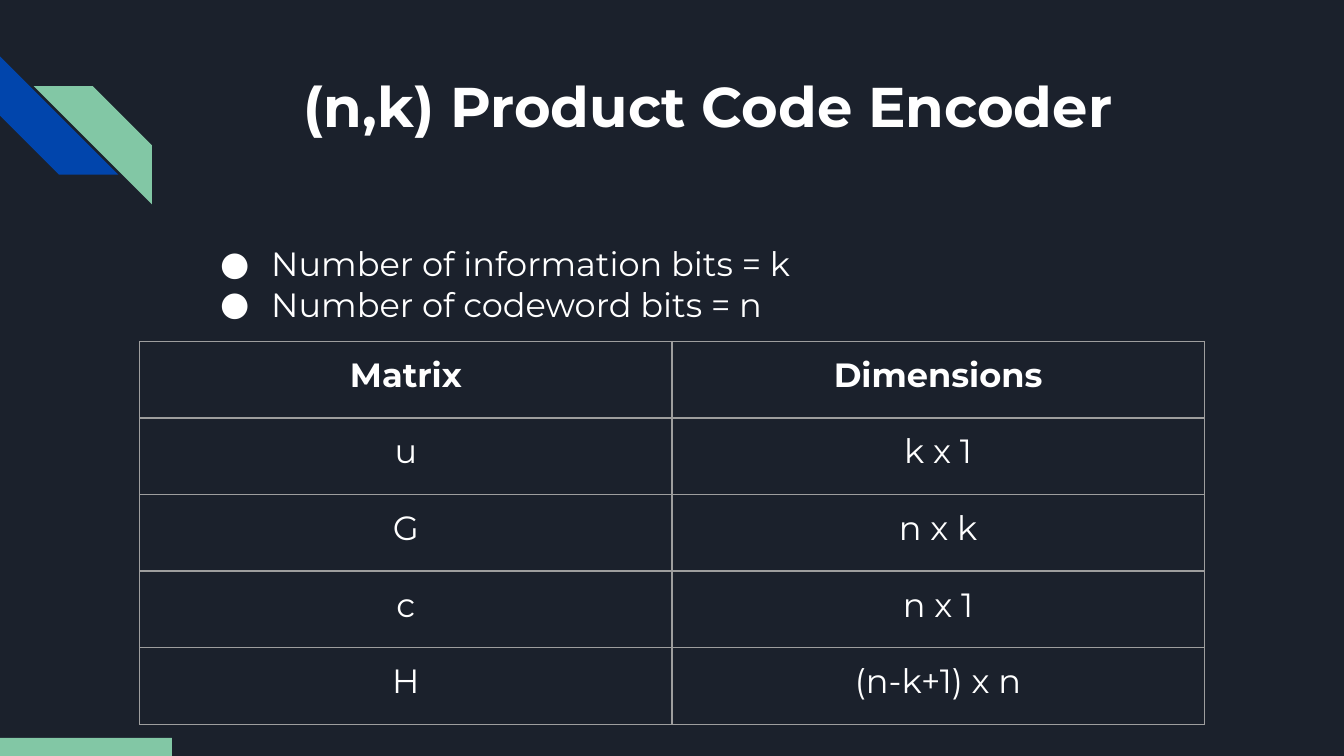
from lxml.etree import SubElement
from pptx import Presentation
from pptx.dml.color import RGBColor
from pptx.enum.shapes import MSO_SHAPE as Shape
from pptx.enum.text import MSO_ANCHOR as Anchor, PP_ALIGN as Align
from pptx.oxml import parse_xml
from pptx.oxml.ns import nsdecls, qn
from pptx.util import Inches, Pt

NAVY = RGBColor(0x1B, 0x21, 0x2C)
BLUE = RGBColor(0x01, 0x45, 0xAC)
GREEN = RGBColor(0x82, 0xC7, 0xA5)
WHITE = RGBColor(0xFF, 0xFF, 0xFF)
GREY = RGBColor(0x9E, 0x9E, 0x9E)
FONT = "Montserrat"

BULLETS = ["Number of information bits = k", "Number of codeword bits = n"]
MATRICES = [
    ("Matrix", "Dimensions"),
    ("u", "k x 1"),
    ("G", "n x k"),
    ("c", "n x 1"),
    ("H", "(n-k+1) x n"),
]


def style_text(para, size, bold=False, align=Align.LEFT):
    para.alignment = align
    font = para.font
    font.name, font.size, font.bold = FONT, Pt(size), bold
    font.color.rgb = WHITE


def set_margins(frame):
    frame.margin_left = frame.margin_right = Inches(0.1)
    frame.margin_top = frame.margin_bottom = Inches(0.1)


def add_block(slide, kind, left, top, width, height, color):
    block = slide.shapes.add_shape(
        kind, Inches(left), Inches(top), Inches(width), Inches(height))
    block.shadow.inherit = False
    block.fill.solid()
    block.fill.fore_color.rgb = color
    block.line.fill.background()
    return block


def add_stripes(slide):
    blue = add_block(slide, Shape.DIAGONAL_STRIPE, 0, 0.42, 0.88, 0.88, BLUE)
    blue.rotation = 270
    green = add_block(slide, Shape.DIAGONAL_STRIPE, 0.25, 0.64, 0.88, 0.88, GREEN)
    green.element.spPr.xfrm.set("flipH", "1")


def set_title(slide, text):
    title = slide.shapes.title
    title.left, title.top = Inches(1.42), Inches(0.43)
    title.width, title.height = Inches(7.7), Inches(1)
    frame = title.text_frame
    frame.text = text
    frame.vertical_anchor = Anchor.TOP
    set_margins(frame)
    para = frame.paragraphs[0]
    para.line_spacing = 1.0
    style_text(para, 30, bold=True, align=Align.CENTER)


def add_bullet(para):
    props = para._p.get_or_add_pPr()
    props.set("marL", str(Inches(0.5)))
    props.set("indent", str(-Inches(0.38)))
    bullet_color = SubElement(props, qn("a:buClr"))
    SubElement(bullet_color, qn("a:srgbClr"), val=str(WHITE))
    SubElement(props, qn("a:buFont"), typeface=FONT)
    SubElement(props, qn("a:buChar"), char="●")


def add_bullet_list(slide, lines):
    box = slide.shapes.add_textbox(
        Inches(1.42), Inches(1.71), Inches(7.7), Inches(3.18))
    frame = box.text_frame
    frame.word_wrap = True
    set_margins(frame)
    frame.text = "\n".join(lines)
    for para in frame.paragraphs:
        add_bullet(para)
        style_text(para, 18)


def set_borders(cell):
    props = cell._tc.get_or_add_tcPr()
    for index, side in enumerate(("lnL", "lnR", "lnT", "lnB")):
        props.insert(index, parse_xml(
            f'<a:{side} {nsdecls("a")} w="{Pt(0.75)}"><a:solidFill>'
            f'<a:srgbClr val="{GREY}"/></a:solidFill></a:{side}>'))


def add_matrix_table(slide, rows):
    row_height, column_width = Inches(0.57), Inches(3.96)
    frame = slide.shapes.add_table(
        len(rows), 2, Inches(1.04), Inches(2.54),
        2 * column_width, len(rows) * row_height)
    table = frame.table
    table.first_row = table.horz_banding = False
    for row_index, row in enumerate(rows):
        for column_index, text in enumerate(row):
            cell = table.cell(row_index, column_index)
            cell.text = text
            cell.fill.background()
            set_margins(cell)
            set_borders(cell)
            style_text(cell.text_frame.paragraphs[0], 18,
                       bold=row_index == 0, align=Align.CENTER)


def main():
    deck = Presentation()
    deck.slide_width = Inches(10)
    deck.slide_height = deck.slide_width * 9 // 16
    slide = deck.slides.add_slide(deck.slide_layouts[5])
    slide.background.fill.solid()
    slide.background.fill.fore_color.rgb = NAVY
    add_stripes(slide)
    set_title(slide, "(n,k) Product Code Encoder")
    add_bullet_list(slide, BULLETS)
    add_matrix_table(slide, MATRICES)
    add_block(slide, Shape.RECTANGLE, 0, 5.49, 1.28, 0.14, GREEN)
    deck.save("out.pptx")


if __name__ == "__main__":
    main()
